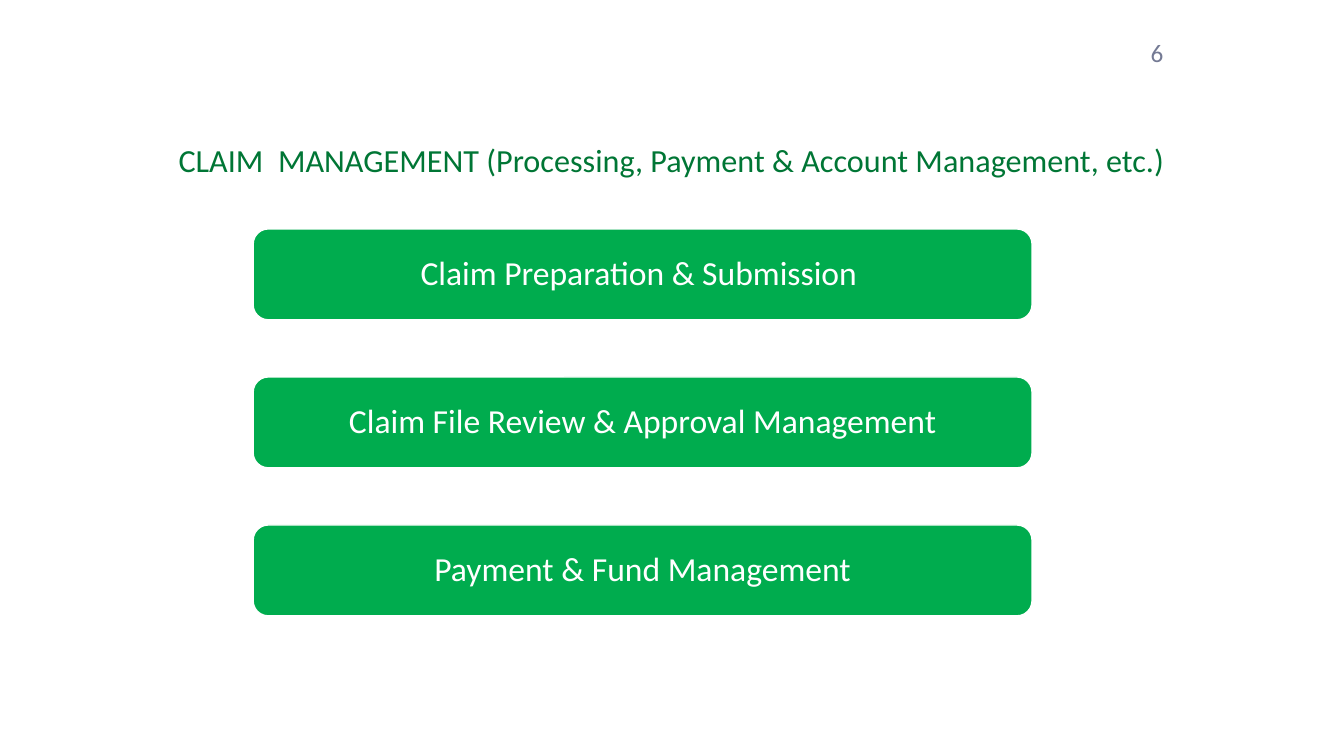
from pptx import Presentation
from pptx.dml.color import RGBColor
from pptx.enum.shapes import MSO_SHAPE
from pptx.enum.text import MSO_ANCHOR, PP_ALIGN
from pptx.util import Cm, Pt

ROUNDED = MSO_SHAPE.ROUNDED_RECTANGLE
TOP, MIDDLE = MSO_ANCHOR.TOP, MSO_ANCHOR.MIDDLE
LEFT, CENTER = PP_ALIGN.LEFT, PP_ALIGN.CENTER

# Content
PAGE_NUMBER = "6"
TITLE = "CLAIM  MANAGEMENT (Processing, Payment & Account Management, etc.)"
STAGES = [
    "Claim Preparation & Submission ",
    "Claim File Review & Approval Management",
    "Payment & Fund Management",
]

# Style and layout (lengths in cm)
FONT = "Calibri"
COLORS = {"stage": "00AC4E", "title": "007635", "number": "747A94", "white": "FFFFFF"}
STAGE_LEFT, STAGE_TOP = 6.38, 5.77
STAGE_WIDTH, STAGE_HEIGHT = 19.63, 2.29
STAGE_PITCH = 3.73
STAGE_INSET = 0.46


def write(shape, text, size, color, align=LEFT, anchor=TOP, inset=None, line_spacing=None):
    frame = shape.text_frame
    frame.word_wrap = True
    frame.vertical_anchor = anchor
    if inset is not None:
        frame.margin_left = frame.margin_right = Cm(inset)
        frame.margin_top = frame.margin_bottom = Cm(inset)
    paragraph = frame.paragraphs[0]
    paragraph.alignment = align
    paragraph.line_spacing = line_spacing
    run = paragraph.add_run()
    run.text = text
    run.font.name = FONT
    run.font.size = Pt(size)
    run.font.color.rgb = RGBColor.from_string(COLORS[color])


prs = Presentation()
prs.slide_width, prs.slide_height = Cm(33.87), Cm(19.05)
slide = prs.slides.add_slide(prs.slide_layouts[6])
shapes = slide.shapes

# Page number
number = shapes.add_textbox(Cm(28.75), Cm(0.81), Cm(2.34), Cm(2.13))
write(number, PAGE_NUMBER, 18, "number")

# Title
title = shapes.add_textbox(Cm(3.35), Cm(3.28), Cm(27.18), Cm(1.47))
write(title, TITLE, 23, "title", align=CENTER, anchor=MIDDLE)

# Stages of claim management
for i, stage_name in enumerate(STAGES):
    stage = shapes.add_shape(ROUNDED, Cm(STAGE_LEFT), Cm(STAGE_TOP + i * STAGE_PITCH),
                             Cm(STAGE_WIDTH), Cm(STAGE_HEIGHT))
    stage.shadow.inherit = False
    stage.fill.solid()
    stage.fill.fore_color.rgb = RGBColor.from_string(COLORS["stage"])
    stage.line.color.rgb = RGBColor.from_string(COLORS["white"])
    stage.line.width = Pt(1)
    write(stage, stage_name, 24, "white", align=CENTER, anchor=MIDDLE,
          inset=STAGE_INSET, line_spacing=0.9)

prs.save("out.pptx")
